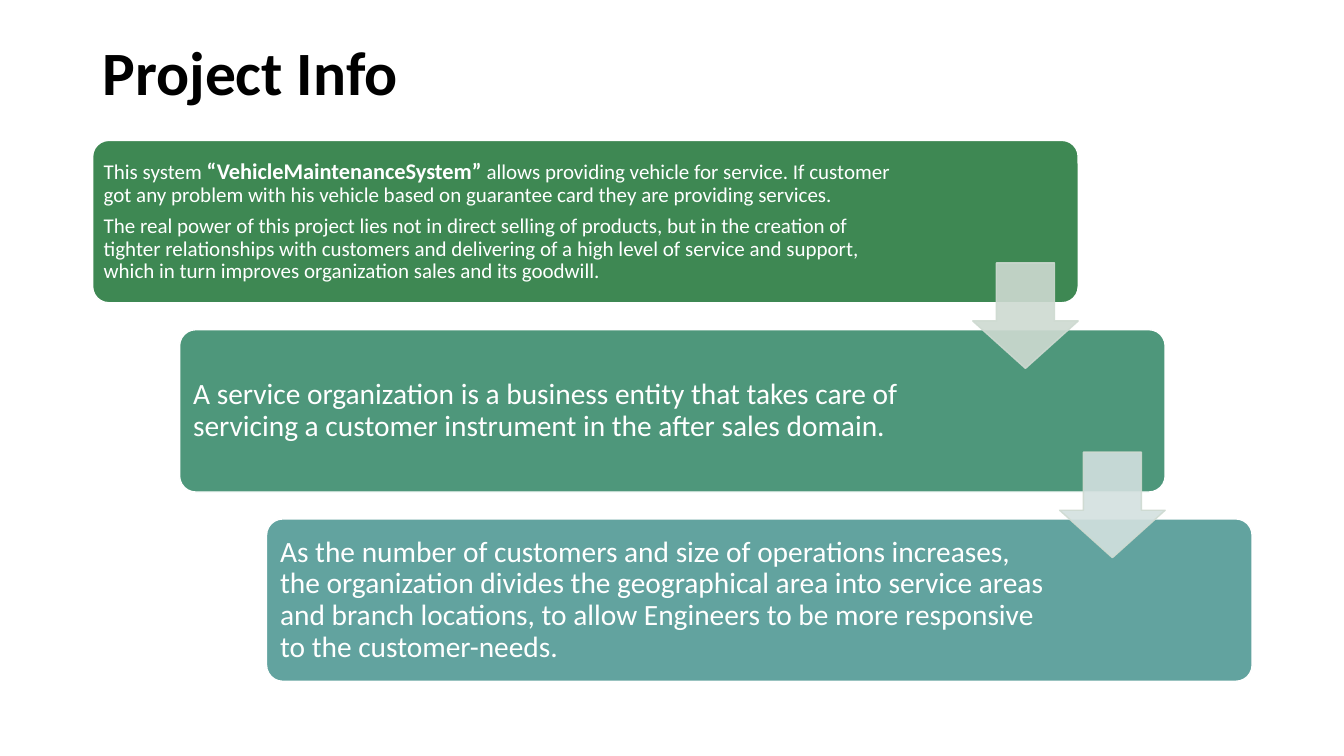
"""Build the Project Info slide: three stepped cards joined by down arrows."""
from lxml import etree
from pptx import Presentation
from pptx.dml.color import RGBColor
from pptx.enum import shapes, text
from pptx.oxml.ns import qn
from pptx.util import Pt

THEME = {
    "font": "Calibri",
    "title": "000000", "body": "FFFFFF", "card_line": "FFFFFF", "arrow_line": "CEDAD1",
    "cards": ["3E8853", "4E977B", "62A39F"],
    "arrows": ["CEDAD1", "D3E0DF"],
    "title_size": 44, "intro_size": 15, "name_size": 16, "body_size": 21,
    "arrow_opacity": 90,
}
STEP_X, STEP_Y = 62.1, 135.2
INTRO, NAME, BODY = THEME["intro_size"], THEME["name_size"], THEME["body_size"]

CARDS = [
    {"width": 578.9, "inset": 4.5, "paragraphs": [
        [("This system\u00a0", INTRO, False),
         ("“VehicleMaintenanceSystem”", NAME, True),
         ("\u00a0allows providing vehicle for service. If customer got any problem with his "
          "vehicle based on guarantee card they are providing services. ", INTRO, False)],
        [("The real power of this project lies not in direct selling of products, but in the "
          "creation of tighter relationships with customers and delivering of a high level of "
          "service and support, which in turn improves organization sales and its goodwill.",
          INTRO, False)]]},
    {"width": 559.4, "inset": 6.3, "paragraphs": [
        [("A service organization is a business entity that takes care of servicing a customer "
          "instrument in the after sales domain.", BODY, False)]]},
    {"width": 559.4, "inset": 6.3, "paragraphs": [
        [("As the number of customers and size of operations increases, the organization divides "
          "the geographical area into service areas and branch locations, to allow Engineers to "
          "be more responsive to the customer-needs.", BODY, False)]]},
]


def add_block(kind, box, adjustments, fill, line, opacity=100):
    shape = slide.shapes.add_shape(kind, *map(Pt, box))
    shape.shadow.inherit = False
    for index, value in enumerate(adjustments):
        shape.adjustments[index] = value
    shape.fill.solid()
    shape.fill.fore_color.rgb = RGBColor.from_string(fill)
    shape.line.color.rgb = RGBColor.from_string(line)
    shape.line.width = Pt(1)
    if opacity < 100:
        for color in shape.element.spPr.iter(qn("a:srgbClr")):
            etree.SubElement(color, qn("a:alpha"), val=str(opacity * 1000))


def add_text(box, paragraphs, color, inset_x, inset_y):
    frame = slide.shapes.add_textbox(*map(Pt, box)).text_frame
    settings = {
        "word_wrap": True, "vertical_anchor": text.MSO_ANCHOR.MIDDLE,
        "margin_left": Pt(inset_x), "margin_right": Pt(inset_x),
        "margin_top": Pt(inset_y), "margin_bottom": Pt(inset_y),
    }
    for name, value in settings.items():
        setattr(frame, name, value)
    for index, runs in enumerate(paragraphs):
        paragraph = frame.add_paragraph() if index else frame.paragraphs[0]
        paragraph.line_spacing = 0.9
        paragraph.space_before = Pt(6 if index else 0)
        for content, size, bold in runs:
            run = paragraph.add_run()
            run.text = content
            run.font.color.rgb = RGBColor.from_string(color)
            for name, value in {"name": THEME["font"], "size": Pt(size), "bold": bold}.items():
                setattr(run.font, name, value)


presentation = Presentation()
presentation.slide_width, presentation.slide_height = Pt(960), Pt(540)
slide = presentation.slides.add_slide(presentation.slide_layouts[6])

add_text((66, 1.4, 828, 104.4), [[("Project Info ", THEME["title_size"], True)]],
         THEME["title"], 7.2, 3.6)

for step, card in enumerate(CARDS):
    left, top = 66.2 + step * STEP_X, 100.3 + step * STEP_Y
    add_block(shapes.MSO_SHAPE.ROUNDED_RECTANGLE, (left, top, 704, 116), [0.1],
              THEME["cards"][step], THEME["card_line"])
    add_text((left + 3.4, top + 3.4, card["width"], 109.2), card["paragraphs"],
             THEME["body"], card["inset"], card["inset"])

for step, fill in enumerate(THEME["arrows"]):
    add_block(shapes.MSO_SHAPE.DOWN_ARROW,
              (694.8 + step * STEP_X, 187.8 + step * STEP_Y, 75.4, 75.4), [0.55, 0.45],
              fill, THEME["arrow_line"], THEME["arrow_opacity"])

presentation.save("out.pptx")
